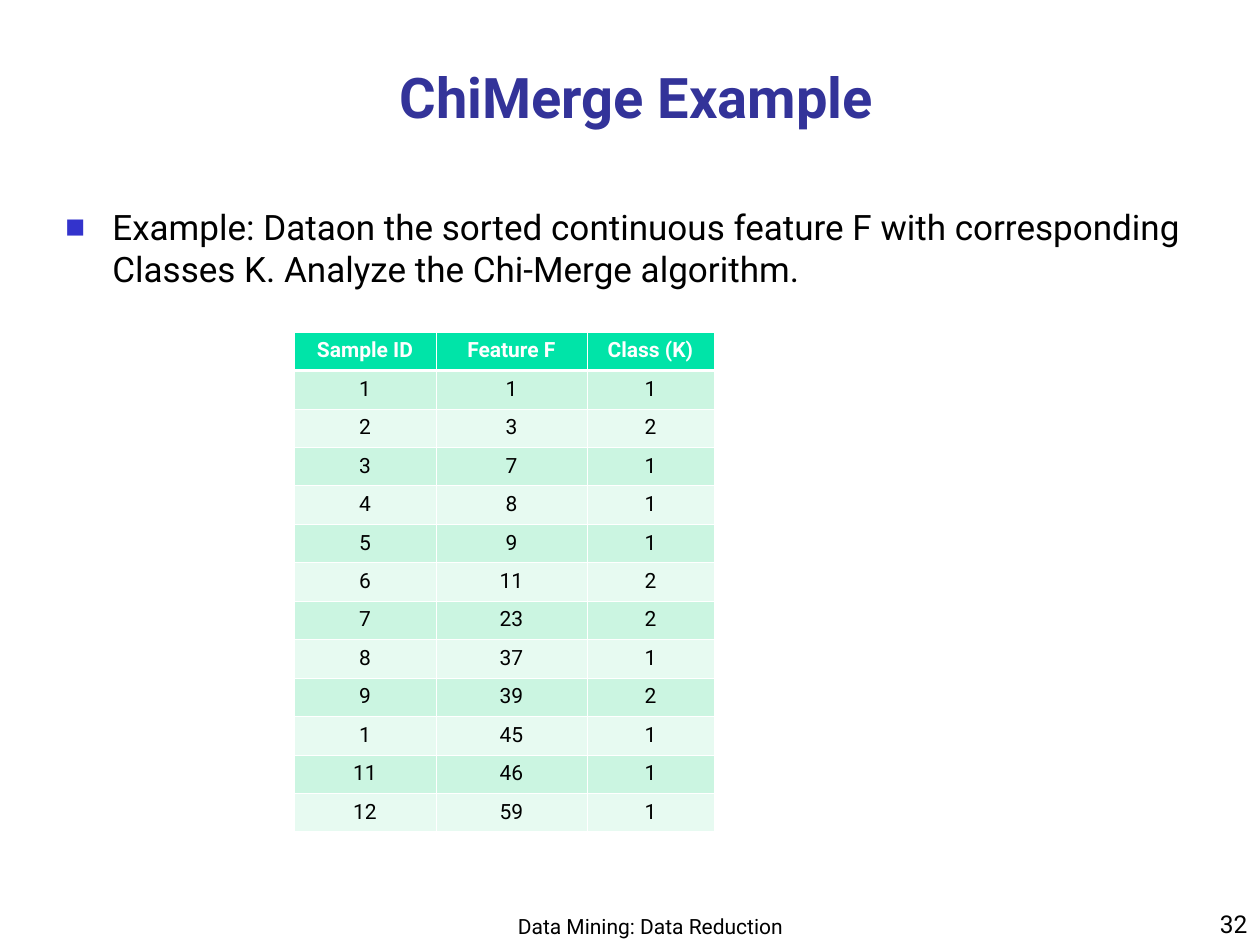
"""Build the ChiMerge example slide."""
from pptx import Presentation
from pptx.dml.color import RGBColor
from pptx.enum.text import MSO_ANCHOR, PP_ALIGN
from pptx.oxml.ns import qn
from pptx.util import Pt
from lxml import etree

EMU = 914400 / 126
FONT = "Roboto"
BLACK = RGBColor(0x00, 0x00, 0x00)
WHITE = RGBColor(0xFF, 0xFF, 0xFF)
NAVY = RGBColor(0x33, 0x33, 0x99)
BLUE = RGBColor(0x33, 0x33, 0xCC)
GREEN = RGBColor(0x00, 0xE4, 0xA8)
MINT = RGBColor(0xCB, 0xF5, 0xE1)
PALE = RGBColor(0xE7, 0xFA, 0xF1)
LEFT, CENTER, RIGHT = PP_ALIGN.LEFT, PP_ALIGN.CENTER, PP_ALIGN.RIGHT
TOP, BOTTOM = MSO_ANCHOR.TOP, MSO_ANCHOR.BOTTOM

HEADS = ("Sample ID", "Feature F", "Class (K)")
DATA = (
    (1, 1, 1), (2, 3, 2), (3, 7, 1), (4, 8, 1), (5, 9, 1), (6, 11, 2),
    (7, 23, 2), (8, 37, 1), (9, 39, 2), (1, 45, 1), (11, 46, 1), (12, 59, 1),
)


def px(n):
    return round(n * EMU)


class Deck:
    def __init__(self, wide, high):
        self.prs = Presentation()
        self.prs.slide_width, self.prs.slide_height = px(wide), px(high)
        self.slide = self.prs.slides.add_slide(self.prs.slide_layouts[6])

    def style(self, para, size, color=BLACK, bold=False, align=CENTER):
        para.alignment = align
        font = para.font
        font.name, font.size, font.bold = FONT, Pt(size), bold
        font.color.rgb = color

    def text(self, box, words, size, color=BLACK, bold=False, align=CENTER, anchor=BOTTOM):
        frame = self.slide.shapes.add_textbox(*map(px, box)).text_frame
        frame.word_wrap = True
        frame.vertical_anchor = anchor
        para = frame.paragraphs[0]
        para.text = words
        self.style(para, size, color, bold, align)
        return para

    def bullet(self, box, words, size):
        para = self.text(box, words, size, align=LEFT, anchor=TOP)
        props = para._p.get_or_add_pPr()
        props.set("marL", str(px(47)))
        props.set("indent", str(px(-47)))
        color = etree.Element(qn("a:buClr"))
        etree.SubElement(color, qn("a:srgbClr"), val=str(BLUE))
        scale = etree.Element(qn("a:buSzPct"), val="60000")
        font = etree.Element(qn("a:buFont"), typeface=FONT)
        mark = etree.Element(qn("a:buChar"), char="■")
        for spot, node in enumerate((color, scale, font, mark)):
            props.insert(spot, node)

    def edge(self, cell, side, width):
        props = cell._tc.get_or_add_tcPr()
        line = etree.SubElement(props, qn("a:ln" + side), w=str(Pt(width)))
        fill = etree.SubElement(line, qn("a:solidFill"))
        etree.SubElement(fill, qn("a:srgbClr"), val=str(WHITE))

    def table(self, box, widths, rows, size):
        grid = self.slide.shapes.add_table(len(rows), len(widths), *map(px, box)).table
        for col, width in zip(grid.columns, widths):
            col.width = px(width)
        for r, row in enumerate(rows):
            head = r == 0
            shade = GREEN if head else MINT if r % 2 else PALE
            for c, value in enumerate(row):
                cell = grid.cell(r, c)
                cell.text = str(value)
                self.style(cell.text_frame.paragraphs[0], size, WHITE if head else BLACK, head)
                for side in "LRTB":
                    thick = (r, side) in ((0, "B"), (1, "T"))
                    self.edge(cell, side, 1.47 if thick else 0.45)
                cell.fill.solid()
                cell.fill.fore_color.rgb = shade


def main():
    deck = Deck(1260, 945)
    deck.text((451, 892, 399, 53), "Data Mining: Data Reduction", 12)
    deck.text((998, 882, 262, 63), "32", 14, align=RIGHT)
    deck.text((105, 32, 1063, 104), "ChiMerge Example", 32, NAVY, True)
    deck.bullet(
        (53, 199, 1166, 703),
        "Example: Dataon the sorted continuous feature F with corresponding "
        "Classes K. Analyze the Chi-Merge algorithm.",
        20,
    )
    deck.table((294, 332, 420, 500), (142, 151, 127), (HEADS, *DATA), 12)
    deck.prs.save("out.pptx")


if __name__ == "__main__":
    main()
